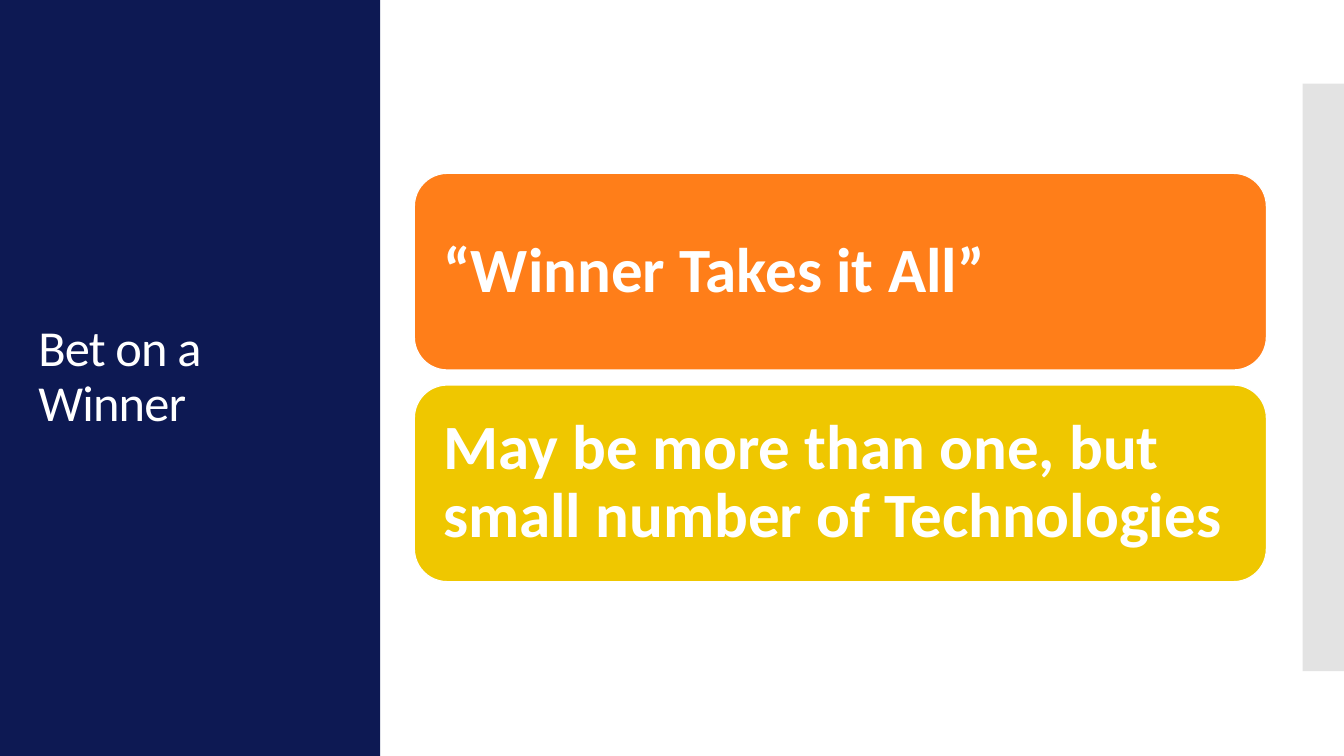
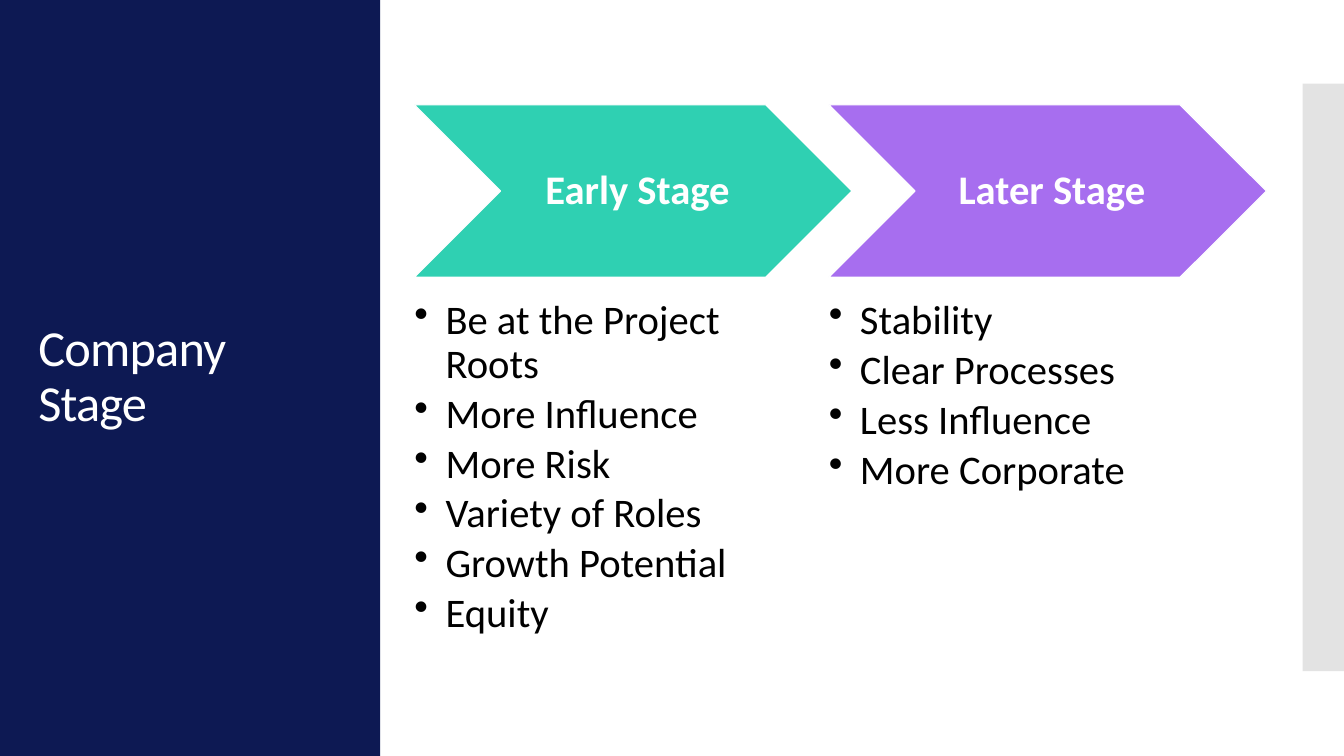
"""Build two slides on choosing a company, with a shared side panel and title style."""
from lxml import etree
from pptx import Presentation
from pptx.dml.color import RGBColor
from pptx.enum.shapes import MSO_SHAPE
from pptx.enum.text import MSO_ANCHOR, MSO_AUTO_SIZE, PP_ALIGN
from pptx.oxml.ns import qn
from pptx.util import Pt

PX = 9144
FONT = "Calibri"
COLORS = {
    "navy": "0D1953",
    "gray": "C8C8C8",
    "white": "FFFFFF",
    "black": "000000",
    "orange": "FF7E19",
    "yellow": "EFC700",
    "teal": "2FD0B2",
    "purple": "A76EEF",
}
CONTENT_LEFT = 411
CONTENT_WIDTH = 845


def add_block(slide, preset, box, fill, line=None):
    """Add a flat preset shape; box is left, top, width, height in px."""
    shape = slide.shapes.add_shape(preset, *[length * PX for length in box])
    shape.shadow.inherit = False
    shape.fill.solid()
    shape.fill.fore_color.rgb = RGBColor.from_string(COLORS[fill])
    if line:
        shape.line.color.rgb = RGBColor.from_string(COLORS[line])
        shape.line.width = Pt(0.85)
    else:
        shape.line.fill.background()
    return shape


def write(shape, lines, size, color="white", bold=False, align=PP_ALIGN.LEFT,
          anchor=MSO_ANCHOR.MIDDLE, margins=(10, 5, 10, 5), after=0, bullet=False, tracking=0):
    """Fill a shape with one formatted paragraph per line; margins are in px."""
    frame = shape.text_frame
    frame.word_wrap = True
    frame.auto_size = MSO_AUTO_SIZE.NONE
    frame.vertical_anchor = anchor
    frame.margin_left, frame.margin_top, frame.margin_right, frame.margin_bottom = [
        margin * PX for margin in margins]
    for index, line in enumerate(lines):
        paragraph = frame.add_paragraph() if index else frame.paragraphs[0]
        paragraph.alignment = align
        paragraph.line_spacing = 0.9
        paragraph.space_after = Pt(after)
        if bullet:
            properties = paragraph._p.get_or_add_pPr()
            properties.set("marL", str(31 * PX))
            properties.set("indent", str(-31 * PX))
            etree.SubElement(properties, qn("a:buChar")).set("char", "•")
        run = paragraph.add_run()
        run.text = line
        run.font.name = FONT
        run.font.size = Pt(size)
        run.font.bold = bold
        run.font.color.rgb = RGBColor.from_string(COLORS[color])
        if tracking:
            run.font._element.set("spc", str(tracking))


presentation = Presentation()
presentation.slide_width = 1333 * PX
presentation.slide_height = 750 * PX
layout = presentation.slide_layouts[5]

slides = []
for title_text in ["Bet on a Winner", "Company Stage"]:
    slide = presentation.slides.add_slide(layout)
    title = slide.shapes.title
    title.left, title.top, title.width, title.height = 28 * PX, 123 * PX, 322 * PX, 503 * PX
    write(title, [title_text], size=36, tracking=-60)
    slides.append(slide)
winner_slide, stage_slide = slides

side_panel = add_block(winner_slide, MSO_SHAPE.RECTANGLE, (0, 0, 377, 750), "navy")
edge_band = add_block(winner_slide, MSO_SHAPE.RECTANGLE, (1292, 83, 41, 583), "gray")
band_color = edge_band.fill._xPr.find(qn("a:solidFill"))[0]
etree.SubElement(band_color, qn("a:alpha")).set("val", "50000")
first_layout_element = layout.shapes[0].element
for panel in [side_panel, edge_band]:
    first_layout_element.addprevious(panel.element)

statements = [
    ("“Winner Takes it All”", "orange"),
    ("May be more than one, but small number of Technologies", "yellow"),
]
for row, (statement, fill) in enumerate(statements):
    box = (CONTENT_LEFT, 172 + row * 210, CONTENT_WIDTH, 195)
    card = add_block(winner_slide, MSO_SHAPE.ROUNDED_RECTANGLE, box, fill, line="white")
    write(card, [statement], size=45, bold=True, margins=(19, 19, 19, 19))

stages = [
    ("Early Stage", "teal", ["Be at the Project Roots", "More Influence", "More Risk",
                             "Variety of Roles", "Growth Potential", "Equity"]),
    ("Later Stage", "purple", ["Stability", "Clear Processes", "Less Influence",
                               "More Corporate"]),
]
for column, (stage, fill, traits) in enumerate(stages):
    left = CONTENT_LEFT + column * 411
    chevron = add_block(stage_slide, MSO_SHAPE.CHEVRON, (left, 104, 434, 171), fill, line="white")
    write(chevron, [stage], size=29, bold=True, align=PP_ALIGN.CENTER, margins=(13, 4, 4, 4))
    trait_list = stage_slide.shapes.add_textbox(left * PX, 297 * PX, 347 * PX, 350 * PX)
    write(trait_list, traits, size=29, color="black", anchor=MSO_ANCHOR.TOP,
          margins=(0, 0, 0, 0), after=4.3, bullet=True)

presentation.save("out.pptx")
